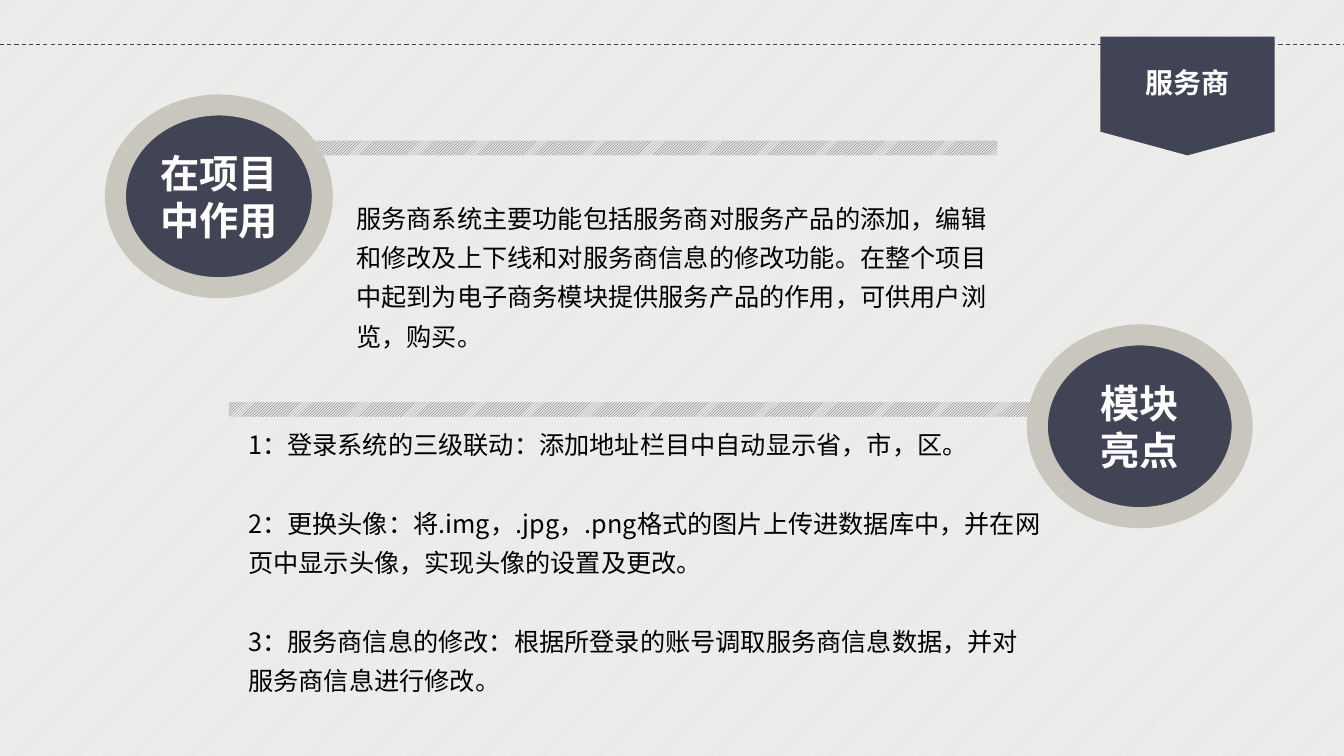
import pptx
import pptx.util
import pptx.dml.color
import pptx.enum.dml
import pptx.enum.shapes
import pptx.enum.text
import pptx.oxml
import pptx.oxml.ns
import lxml.etree

PX = 9525
FONT = "Noto Sans CJK SC"
NAVY, STONE, PAPER, WHITE, BLACK = "414455", "C8C6BD", "E8E8E6", "FFFFFF", "000000"
SLIDE = (1280, 720)
RULE_Y = 42
TITLE = "服务商"
TITLE_BOX = (1081, 58, 100, 42)
RIBBON_BOX = (1048, 35, 166, 113)
BARS = [(218, 383, 793, 14), (292, 134, 658, 14)]
BADGES = [
    ((110, 100, 197, 174), ["在项目中作用"]),
    ((988, 319, 195, 174), ["模块", "亮点"]),
]
BODIES = [
    ((330, 180, 620, 161), [
        "服务商系统主要功能包括服务商对服务产品的添加，编辑和修改及上下线和对服务商信息的修改功能。"
        "在整个项目中起到为电子商务模块提供服务产品的作用，可供用户浏览，购买。",
    ]),
    ((227, 396, 776, 274), [
        "1：登录系统的三级联动：添加地址栏目中自动显示省，市，区。",
        "2：更换头像：将.img，.jpg，.png格式的图片上传进数据库中，并在网页中显示头像，实现头像的设置及更改。",
        "3：服务商信息的修改：根据所登录的账号调取服务商信息数据，并对服务商信息进行修改。",
    ]),
]

SHAPE = pptx.enum.shapes.MSO_SHAPE
ALIGN = pptx.enum.text.PP_ALIGN
ANCHOR = pptx.enum.text.MSO_ANCHOR


def color(value):
    return pptx.dml.color.RGBColor.from_string(value)


def scaled(box):
    return [pptx.util.Emu(length * PX) for length in box]


def hatch(fill, front, back):
    fill.patterned()
    fill.pattern = pptx.enum.dml.MSO_PATTERN.LIGHT_UPWARD_DIAGONAL
    fill.fore_color.rgb = color(front)
    fill.back_color.rgb = color(back)


def add_plain_shape(page, kind, box):
    shape = page.shapes.add_shape(kind, *scaled(box))
    shape.shadow.inherit = False
    shape.line.fill.background()
    return shape


def fill_solid(shape, value):
    shape.fill.solid()
    shape.fill.fore_color.rgb = color(value)


def write(frame, lines, size, value, bold, align, anchor, spacing=None, gap=0):
    frame.text = "\n".join(lines)
    frame.vertical_anchor = anchor
    for index, para in enumerate(frame.paragraphs):
        para.alignment = align
        if spacing:
            para.line_spacing = spacing
        if index and gap:
            para.space_before = pptx.util.Pt(gap)
        for span in para.runs:
            span.font.size = pptx.util.Pt(size)
            span.font.bold = bold
            span.font.color.rgb = color(value)
            span.font.name = FONT
            east = lxml.etree.SubElement(span.font._element, pptx.oxml.ns.qn("a:ea"))
            east.set("typeface", FONT)


def main():
    deck = pptx.Presentation()
    deck.slide_width, deck.slide_height = scaled(SLIDE)
    page = deck.slides.add_slide(deck.slide_layouts[5])
    hatch(page.background.fill, WHITE, PAPER)

    for box in BARS:
        hatch(add_plain_shape(page, SHAPE.RECTANGLE, box).fill, NAVY, PAPER)

    rule = page.shapes.add_connector(
        pptx.enum.shapes.MSO_CONNECTOR.STRAIGHT, *scaled((0, RULE_Y, SLIDE[0], RULE_Y)))
    rule.line.color.rgb = color(NAVY)
    rule.line.width = pptx.util.Pt(0.75)
    rule.line.dash_style = pptx.enum.dml.MSO_LINE.DASH
    lxml.etree.SubElement(rule._element.spPr, pptx.oxml.ns.qn("a:effectLst"))

    fill_solid(add_plain_shape(page, SHAPE.FLOWCHART_OFFPAGE_CONNECTOR, RIBBON_BOX), NAVY)

    title = page.shapes.title
    title.left, title.top, title.width, title.height = scaled(TITLE_BOX)
    write(title.text_frame, [TITLE], 20, WHITE, True, ALIGN.CENTER, ANCHOR.TOP)
    title.text_frame.word_wrap = False
    title.text_frame.auto_size = pptx.enum.text.MSO_AUTO_SIZE.NONE
    title.element.getparent().append(title.element)

    for box, lines in BADGES:
        badge = add_plain_shape(page, SHAPE.OVAL, box)
        fill_solid(badge, NAVY)
        badge.line.color.rgb = color(STONE)
        badge.line.width = pptx.util.Pt(15)
        write(badge.text_frame, lines, 28, WHITE, True, ALIGN.CENTER, ANCHOR.MIDDLE)

    for box, lines in BODIES:
        body = page.shapes.add_textbox(*scaled(box))
        body.text_frame.word_wrap = True
        write(body.text_frame, lines, 18, BLACK, False, ALIGN.LEFT, ANCHOR.TOP, 1.3, 28)

    deck.save("out.pptx")


if __name__ == "__main__":
    main()
